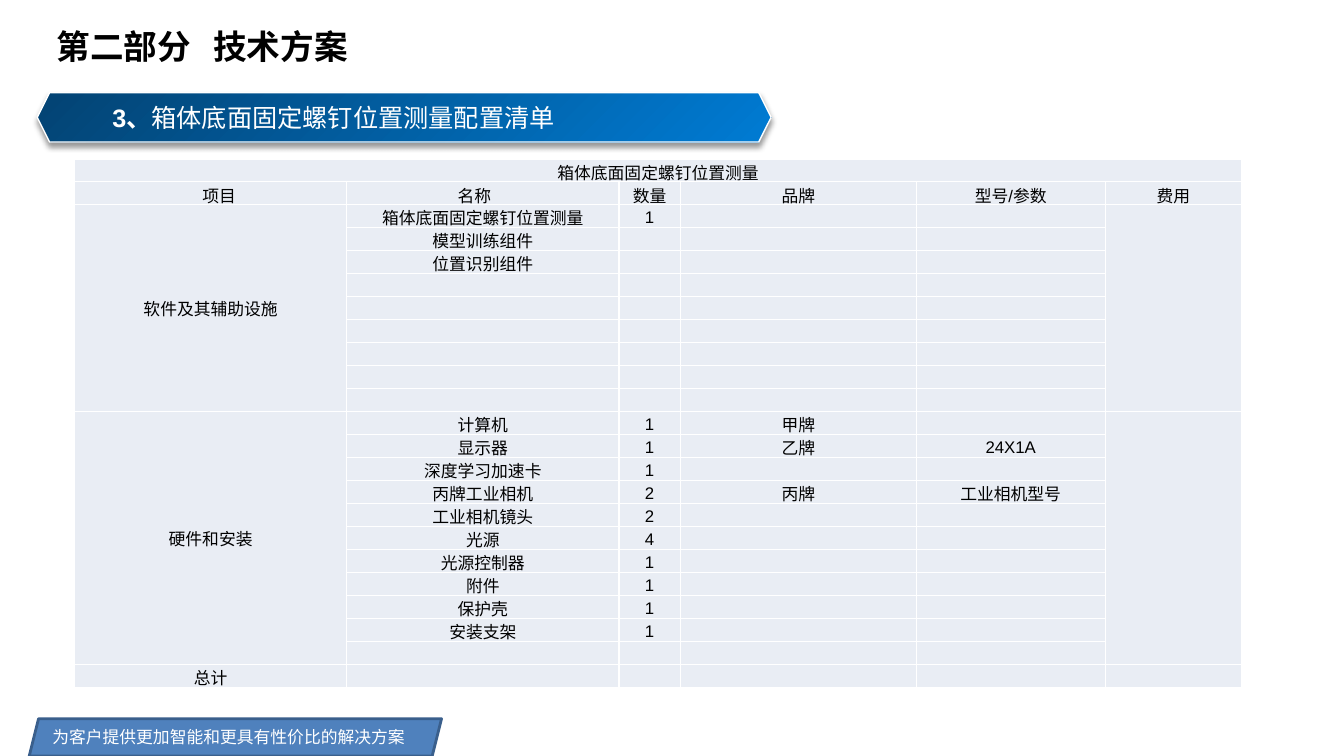
from lxml.etree import SubElement
from pptx import Presentation
from pptx.dml.color import RGBColor
from pptx.enum.shapes import MSO_SHAPE
from pptx.enum.text import MSO_ANCHOR, PP_ALIGN
from pptx.oxml import parse_xml
from pptx.oxml.ns import nsdecls, qn
from pptx.util import Pt

COLORS = {"white": "FFFFFF", "black": "000000", "cell": "E9EDF4",
          "footer": "4F81BD", "footer_line": "3A5F8C",
          "bright": "007BD3", "dark": "034373"}
FONT = "Arial"
COLUMN_WIDTHS = [194.4, 194.4, 43.9, 168.5, 135, 97.5]
HEADER_HEIGHT, ROW_HEIGHT = 16, 16.45
TABLE_TITLE = "箱体底面固定螺钉位置测量"
HEADERS = ["项目", "名称", "数量", "品牌", "型号/参数", "费用"]
SOFTWARE = [["箱体底面固定螺钉位置测量", "1"], ["模型训练组件"], ["位置识别组件"]]
HARDWARE = [["计算机", "1", "甲牌"], ["显示器", "1", "乙牌", "24X1A"],
            ["深度学习加速卡", "1"], ["丙牌工业相机", "2", "丙牌", "工业相机型号"],
            ["工业相机镜头", "2"], ["光源", "4"], ["光源控制器", "1"],
            ["附件", "1"], ["保护壳", "1"], ["安装支架", "1"]]
GROUPS = [("软件及其辅助设施", 9, SOFTWARE), ("硬件和安装", 11, HARDWARE), ("总计", 1, [])]


def rgb(name):
    """Return the named colour."""
    return RGBColor.from_string(COLORS[name])


def style_run(r, size, color, bold=False):
    """Format one run."""
    r.font.name, r.font.size, r.font.bold = FONT, Pt(size), bold
    r.font.color.rgb = rgb(color)


def add_title(s, left, top, width, height):
    """Place the slide title, with a tab between its two parts."""
    sp = s.shapes.title
    sp.left, sp.top, sp.width, sp.height = Pt(left), Pt(top), Pt(width), Pt(height)
    tf = sp.text_frame
    tf.vertical_anchor = MSO_ANCHOR.TOP
    tf.text = "第二部分\t技术方案"
    p = tf.paragraphs[0]
    p.alignment = PP_ALIGN.JUSTIFY
    tabs = SubElement(p._p.get_or_add_pPr(), qn("a:tabLst"))
    SubElement(tabs, qn("a:tab"), pos=str(Pt(112)), algn="l")
    for r in p.runs:
        style_run(r, 24, "black", True)


def add_section_banner(s, left, top, width, height):
    """Draw the section heading in a gradient hexagon with a shadow."""
    sp = s.shapes.add_shape(MSO_SHAPE.HEXAGON, Pt(left), Pt(top), Pt(width), Pt(height))
    sp.shadow.inherit = False
    sp.line.color.rgb = rgb("white")
    sp.line.width = Pt(1)
    gradient = parse_xml(
        f'<a:gradFill {nsdecls("a")} rotWithShape="1"><a:gsLst>'
        f'<a:gs pos="0"><a:srgbClr val="{COLORS["bright"]}"/></a:gs>'
        f'<a:gs pos="100000"><a:srgbClr val="{COLORS["dark"]}"/></a:gs></a:gsLst>'
        '<a:path path="circle"><a:fillToRect l="100000" t="100000"/></a:path></a:gradFill>')
    sp._element.spPr.find(qn("a:prstGeom")).addnext(gradient)
    sp._element.spPr.find(qn("a:effectLst")).append(parse_xml(
        f'<a:outerShdw {nsdecls("a")} blurRad="{Pt(4)}" dist="{Pt(3)}" dir="5400000" '
        f'rotWithShape="0"><a:srgbClr val="{COLORS["black"]}"><a:alpha val="40000"/>'
        '</a:srgbClr></a:outerShdw>'))
    tf = sp.text_frame
    tf.vertical_anchor = MSO_ANCHOR.MIDDLE
    p = tf.paragraphs[0]
    p.alignment = PP_ALIGN.LEFT
    for text, bold in (("3、", True), ("箱体底面固定螺钉位置测量配置清单", False)):
        r = p.add_run()
        r.text = text
        style_run(r, 18, "white", bold)


def style_cell(cell, text, anchor):
    """Fill, border and write one table cell."""
    tcPr = cell._tc.get_or_add_tcPr()
    for side in ("L", "R", "T", "B"):
        tcPr.append(parse_xml(
            f'<a:ln{side} {nsdecls("a")} w="{Pt(1)}"><a:solidFill>'
            f'<a:srgbClr val="{COLORS["white"]}"/></a:solidFill></a:ln{side}>'))
    cell.fill.solid()
    cell.fill.fore_color.rgb = rgb("cell")
    cell.margin_left = cell.margin_right = cell.margin_top = Pt(0.7)
    cell.margin_bottom = Pt(0)
    cell.vertical_anchor = anchor
    p = cell.text_frame.paragraphs[0]
    p.text = text
    p.alignment = PP_ALIGN.CENTER
    for r in p.runs:
        style_run(r, 12, "black")
    if not text:
        SubElement(p._p, qn("a:endParaRPr"), sz="1200")


def add_configuration_table(s, left, top):
    """Build the configuration list with its merged groups."""
    rows = [[TABLE_TITLE], HEADERS]
    starts = []
    for label, count, items in GROUPS:
        starts.append((len(rows), count))
        padded = items + [[] for _ in range(count - len(items))]
        rows += [[label if i == 0 else "", *item] for i, item in enumerate(padded)]
    heights = [HEADER_HEIGHT] * 2 + [ROW_HEIGHT] * (len(rows) - 2)
    table = s.shapes.add_table(len(rows), len(HEADERS), Pt(left), Pt(top),
                               Pt(sum(COLUMN_WIDTHS)), Pt(sum(heights))).table
    table.first_row = table.horz_banding = False
    for column, width in zip(table.columns, COLUMN_WIDTHS):
        column.width = Pt(width)
    for row, height in zip(table.rows, heights):
        row.height = Pt(height)
    hardware_start = starts[1][0]
    for i, row in enumerate(rows):
        for j in range(len(HEADERS)):
            middle = i < 2 or j == 0 or (j == 1 and i >= hardware_start)
            style_cell(table.cell(i, j), row[j] if j < len(row) else "",
                       MSO_ANCHOR.MIDDLE if middle else MSO_ANCHOR.BOTTOM)
    table.cell(1, 0).margin_left = table.cell(1, 1).margin_right = Pt(12.7)
    table.cell(0, 0).merge(table.cell(0, len(HEADERS) - 1))
    for start, count in starts:
        if count > 1:
            for j in (0, len(HEADERS) - 1):
                table.cell(start, j).merge(table.cell(start + count - 1, j))


def add_footer(s, left, top, width, height):
    """Draw the slogan strip at the foot of the slide."""
    sp = s.shapes.add_shape(MSO_SHAPE.PARALLELOGRAM, Pt(left), Pt(top), Pt(width), Pt(height))
    sp.shadow.inherit = False
    sp.fill.solid()
    sp.fill.fore_color.rgb = rgb("footer")
    sp.line.color.rgb = rgb("footer_line")
    sp.line.width = Pt(2)
    box = s.shapes.add_textbox(Pt(left + 9.4), Pt(top + 2.2), Pt(width - 25.2), Pt(21.6))
    tf = box.text_frame
    tf.word_wrap = False
    tf.text = "为客户提供更加智能和更具有性价比的解决方案"
    style_run(tf.paragraphs[0].runs[0], 12, "white")


def main():
    """Build and save the slide."""
    prs = Presentation()
    prs.slide_width, prs.slide_height = Pt(960), Pt(540)
    s = prs.slides.add_slide(prs.slide_layouts[5])
    add_footer(s, 20.9, 513.4, 294.5, 26.6)
    add_section_banner(s, 26.6, 66.2, 524.2, 35.3)
    add_title(s, 33.1, 15.1, 509.8, 36)
    add_configuration_table(s, 53.3, 113.8)
    prs.save("out.pptx")


if __name__ == "__main__":
    main()
